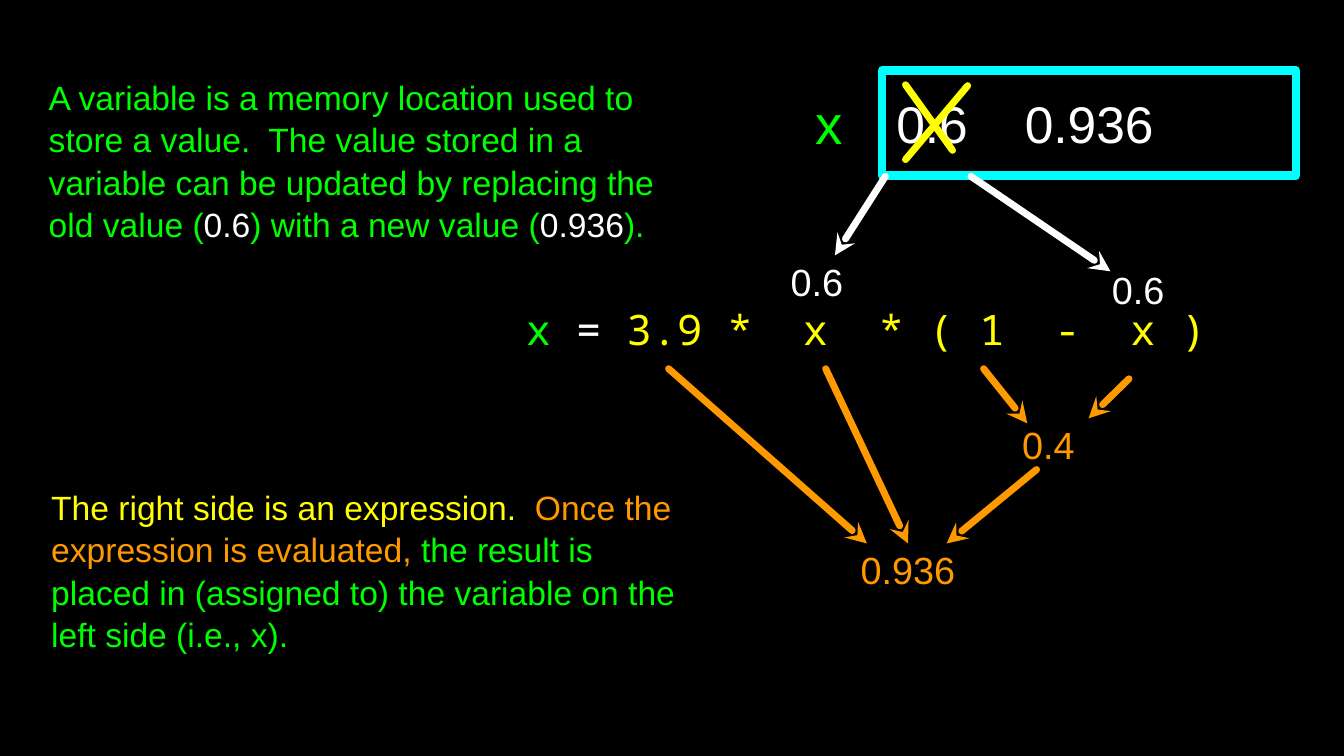
from dataclasses import dataclass
from typing import NamedTuple

import pptx
import pptx.dml.color
import pptx.enum.shapes
import pptx.enum.text
import pptx.util
from lxml import etree
from pptx.oxml.ns import qn

COLS, ROWS = 160, 90
WIDE = pptx.util.Inches(13.333)
HIGH = pptx.util.Inches(7.5)
ALIGN = pptx.enum.text.PP_ALIGN


@dataclass(frozen=True)
class Theme:
    back: str = "000000"
    plain: str = "FFFFFF"
    var: str = "00FF00"
    expr: str = "FFFF00"
    value: str = "FF9900"
    frame: str = "00FFFF"
    sans: str = "Arial"
    mono: str = "Noto Sans Mono"
    prose: float = 24
    label: float = 27
    code: float = 30
    cell: float = 36.8
    name: float = 39
    stroke: float = 5
    edge: float = 6


LOOK = Theme()


class Run(NamedTuple):
    text: str
    color: str


class Area(NamedTuple):
    """Left, top, width and height in grid columns and rows."""
    col: float
    row: float
    cols: float
    rows: float


class Label(NamedTuple):
    area: Area
    runs: list[Run]
    size: float = LOOK.label
    font: str = LOOK.sans
    align: ALIGN = ALIGN.CENTER
    pitch: float = 1.0


class Line(NamedTuple):
    """A stroke whose tip, if it has an arrowhead, is at its start."""
    tip: tuple[float, float]
    tail: tuple[float, float]
    color: str
    arrow: bool = True


UPPER = Label(Area(5.8, 8.4, 73.8, 21.2), [
    Run("A variable is a memory location used to store a value.  The value stored in a "
        "variable can be updated by replacing the old value (", LOOK.var),
    Run("0.6", LOOK.plain),
    Run(") with a new value (", LOOK.var),
    Run("0.936", LOOK.plain),
    Run(").", LOOK.var),
], LOOK.prose, align=ALIGN.LEFT, pitch=1.05)

LOWER = Label(Area(6.1, 57.6, 75.5, 20.4), [
    Run("The right side is an expression.  ", LOOK.expr),
    Run("Once the expression is evaluated, ", LOOK.value),
    Run("the result is placed in (assigned to) the variable on the left side (i.e., x).",
        LOOK.var),
], LOOK.prose, align=ALIGN.LEFT, pitch=1.05)

FORMULA = Label(Area(62.6, 33.5, 87, 11.3), [
    Run("x ", LOOK.var),
    Run("= ", LOOK.plain),
    Run("3.9 *  x  * ( 1  -  x )", LOOK.expr),
], LOOK.code, LOOK.mono, ALIGN.LEFT)

MEMORY = Label(Area(105, 8.4, 49.3, 12.5), [Run("0.6\t0.936", LOOK.plain)],
               LOOK.cell, align=ALIGN.LEFT)
RESULT = Label(Area(99.6, 64.7, 17, 6.1), [Run("0.936", LOOK.value)])

LABELS = [
    UPPER,
    LOWER,
    FORMULA,
    Label(Area(96.6, 10.3, 4.3, 8.5), [Run("x", LOOK.var)], LOOK.name),
    Label(Area(119.6, 49.8, 10.4, 6.1), [Run("0.4", LOOK.value)]),
    Label(Area(92.8, 30.4, 8.9, 6.1), [Run("0.6", LOOK.plain)]),
    Label(Area(130.3, 31.4, 10.4, 6.1), [Run("0.6", LOOK.plain)]),
]

PRODUCT = Line((108.1, 64.7), (98.3, 43.9), LOOK.value)
LINES = [
    Line((112.7, 64.7), (123.4, 55.9), LOOK.value),
    Line((103.2, 64.7), (79.6, 43.9), LOOK.value),
    Line((129.6, 49.8), (134.4, 45.1), LOOK.value),
    Line((122.3, 50.4), (117.1, 43.9), LOOK.value),
    Line((99.4, 30.4), (105.4, 21), LOOK.plain),
    Line((132.2, 32.3), (115.6, 21), LOOK.plain),
    Line((115.2, 10.2), (107.8, 19), LOOK.expr, arrow=False),
    Line((107.8, 10.1), (113.4, 17.9), LOOK.expr, arrow=False),
]


def across(cols: float) -> int:
    return round(WIDE * cols / COLS)


def down(rows: float) -> int:
    return round(HIGH * rows / ROWS)


def place(area: Area) -> tuple[int, int, int, int]:
    return across(area.col), down(area.row), across(area.cols), down(area.rows)


def tint(code: str) -> pptx.dml.color.RGBColor:
    return pptx.dml.color.RGBColor.from_string(code)


def write(shape, label: Label, inset: float = 0, tab: float = 0) -> None:
    """Fill a shape with the label's runs; inset and tab are in columns."""
    frame = shape.text_frame
    frame.word_wrap = True
    frame.vertical_anchor = pptx.enum.text.MSO_ANCHOR.MIDDLE
    frame.margin_top = frame.margin_right = frame.margin_bottom = 0
    frame.margin_left = across(inset)
    para = frame.paragraphs[0]
    para.alignment = label.align
    para.line_spacing = label.pitch
    if tab:
        stops = etree.SubElement(para._p.get_or_add_pPr(), qn("a:tabLst"))
        etree.SubElement(stops, qn("a:tab"), pos=str(across(tab)), algn="l")
    for part in label.runs:
        run = para.add_run()
        run.text = part.text
        run.font.name = label.font
        run.font.size = pptx.util.Pt(label.size)
        run.font.color.rgb = tint(part.color)


def put(slide, label: Label):
    box = slide.shapes.add_textbox(*place(label.area))
    write(box, label)
    return box


def store(slide, label: Label) -> None:
    """Draw the framed memory cell with its old and new value."""
    cell = slide.shapes.add_shape(pptx.enum.shapes.MSO_SHAPE.RECTANGLE, *place(label.area))
    cell.shadow.inherit = False
    cell.fill.background()
    cell.line.color.rgb = tint(LOOK.frame)
    cell.line.width = pptx.util.Pt(LOOK.edge)
    write(cell, label, inset=1.7, tab=15.3)


def draw(slide, line: Line):
    stroke = slide.shapes.add_connector(
        pptx.enum.shapes.MSO_CONNECTOR.STRAIGHT,
        across(line.tip[0]), down(line.tip[1]), across(line.tail[0]), down(line.tail[1]))
    stroke.line.color.rgb = tint(line.color)
    stroke.line.width = pptx.util.Pt(LOOK.stroke)
    edge = stroke.line._get_or_add_ln()
    edge.set("cap", "rnd")
    etree.SubElement(edge, qn("a:round"))
    if line.arrow:
        etree.SubElement(edge, qn("a:headEnd"), type="stealth")
    etree.SubElement(stroke._element.spPr, qn("a:effectLst"))
    return stroke


def main() -> None:
    deck = pptx.Presentation()
    deck.slide_width, deck.slide_height = WIDE, HIGH
    slide = deck.slides.add_slide(deck.slide_layouts[6])
    slide.background.fill.solid()
    slide.background.fill.fore_color.rgb = tint(LOOK.back)
    store(slide, MEMORY)
    for label in LABELS:
        put(slide, label)
    for line in LINES:
        draw(slide, line)
    result = put(slide, RESULT)
    draw(slide, PRODUCT).begin_connect(result, 0)
    deck.save("out.pptx")


if __name__ == "__main__":
    main()
